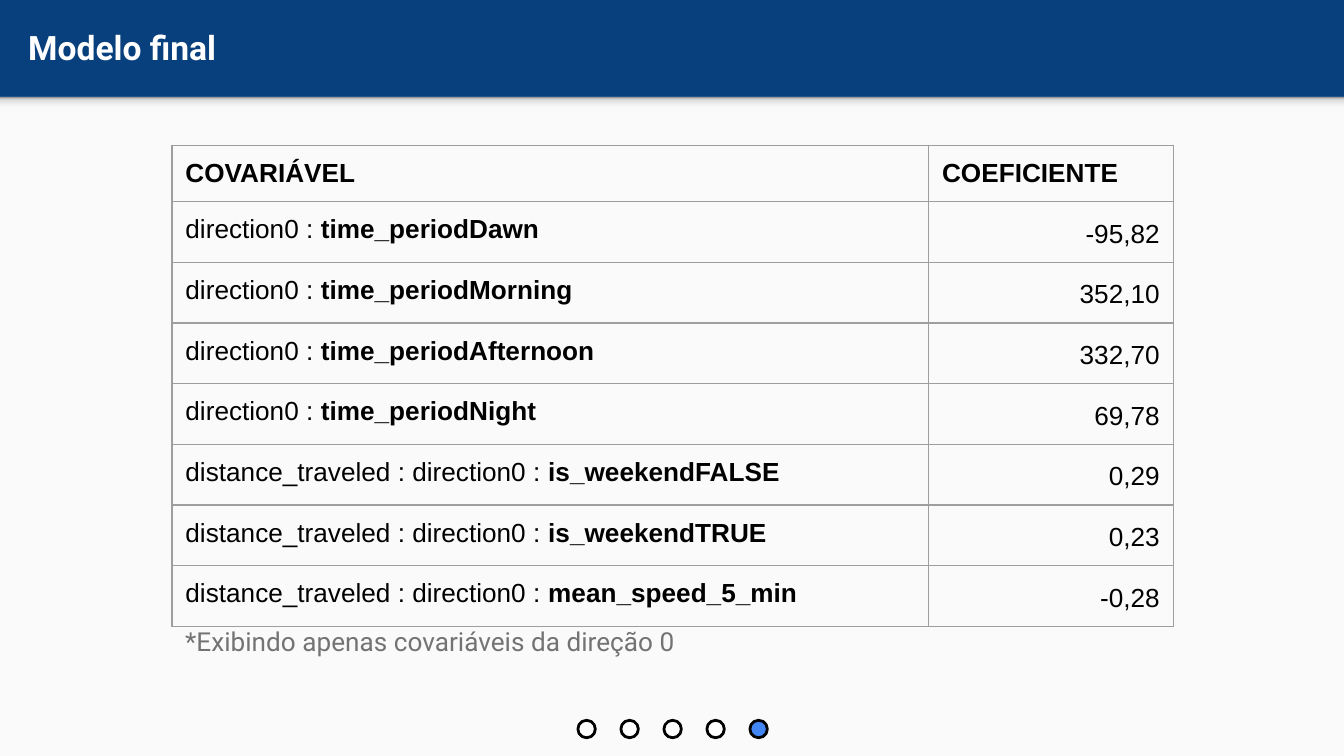
from copy import deepcopy

from lxml.etree import SubElement
from pptx import Presentation
from pptx.dml.color import RGBColor
from pptx.enum.shapes import MSO_SHAPE
from pptx.enum.text import MSO_ANCHOR, MSO_AUTO_SIZE, PP_ALIGN
from pptx.oxml.ns import qn
from pptx.util import Inches, Pt

NAVY = RGBColor(0x08, 0x40, 0x7D)
PAPER = RGBColor(0xFA, 0xFA, 0xFA)
WHITE = RGBColor(0xFF, 0xFF, 0xFF)
BLACK = RGBColor(0x00, 0x00, 0x00)
BLUE = RGBColor(0x42, 0x85, 0xF4)
GRAY = RGBColor(0x73, 0x73, 0x73)
BORDER = RGBColor(0x9E, 0x9E, 0x9E)
SHADOW_STOPS = [
    (0, RGBColor(0xF9, 0xF9, 0xF9)),
    (0.36, RGBColor(0xF9, 0xF9, 0xF9)),
    (0.8, RGBColor(0xDE, 0xDE, 0xDE)),
    (1, RGBColor(0x99, 0x99, 0x99)),
]

DIRECTION = "direction0 : "
DISTANCE = "distance_traveled : direction0 : "
COEFFICIENTS = [
    (DIRECTION, "time_periodDawn", "-95,82"),
    (DIRECTION, "time_periodMorning", "352,10"),
    (DIRECTION, "time_periodAfternoon", "332,70"),
    (DIRECTION, "time_periodNight", "69,78"),
    (DISTANCE, "is_weekendFALSE", "0,29"),
    (DISTANCE, "is_weekendTRUE", "0,23"),
    (DISTANCE, "mean_speed_5_min", "-0,28"),
]


def add_text(p, text, font="Arial", size=14, color=BLACK, bold=False):
    r = p.add_run()
    r.text = text
    r.font.name = font
    r.font.size = Pt(size)
    r.font.bold = bold
    r.font.color.rgb = color


class SlideBuilder:
    inset = Inches(0.1)
    heading_font = "Roboto"

    def __init__(self, slide):
        self.s = slide

    def background(self, color):
        fill = self.s.background.fill
        fill.solid()
        fill.fore_color.rgb = color

    def frame(self, sp, anchor):
        tf = sp.text_frame
        tf.word_wrap = True
        tf.auto_size = MSO_AUTO_SIZE.NONE
        tf.vertical_anchor = anchor
        tf.margin_left = tf.margin_right = self.inset
        tf.margin_top = tf.margin_bottom = self.inset
        return tf

    def title(self, text, x, y, w, h):
        sp = self.s.shapes.title
        sp.left, sp.top, sp.width, sp.height = map(Inches, (x, y, w, h))
        p = self.frame(sp, MSO_ANCHOR.MIDDLE).paragraphs[0]
        p.alignment = PP_ALIGN.LEFT
        add_text(p, text, font=self.heading_font, size=18, color=WHITE, bold=True)

    def note(self, text, x, y, w, h):
        sp = self.s.shapes.add_textbox(*map(Inches, (x, y, w, h)))
        p = self.frame(sp, MSO_ANCHOR.TOP).paragraphs[0]
        add_text(p, text, font=self.heading_font, color=GRAY)

    def shape(self, kind, x, y, w, h, color=None, parent=None):
        shapes = (parent or self.s).shapes
        sp = shapes.add_shape(kind, *map(Inches, (x, y, w, h)))
        sp.shadow.inherit = False
        sp.line.fill.background()
        if color is not None:
            sp.fill.solid()
            sp.fill.fore_color.rgb = color
        return sp

    def gradient(self, sp, stops):
        sp.fill.gradient()
        sp.fill.gradient_angle = 90
        stop_list = next(sp._element.spPr.iter(qn("a:gsLst")))
        while len(stop_list) < len(stops):
            stop_list.append(deepcopy(stop_list[0]))
        for stop, (position, color) in zip(sp.fill.gradient_stops, stops):
            stop.position = position
            stop.color.rgb = color

    def progress(self, count, current, x, y, size, step):
        group = self.s.shapes.add_group_shape()
        for i in range(count):
            color = BLUE if i == current else WHITE
            dot = self.shape(MSO_SHAPE.OVAL, x + i * step, y, size, size, color, group)
            dot.line.color.rgb = BLACK
            dot.line.width = Pt(1.5)

    def cell(self, cell):
        cell.margin_left = cell.margin_right = self.inset
        cell.margin_top = cell.margin_bottom = self.inset
        tc_pr = cell._tc.get_or_add_tcPr()
        for side in ("a:lnL", "a:lnR", "a:lnT", "a:lnB"):
            ln = SubElement(tc_pr, qn(side), w=str(Pt(0.75)))
            fill = SubElement(ln, qn("a:solidFill"))
            SubElement(fill, qn("a:srgbClr"), val=str(BORDER))
        cell.fill.background()
        return cell.text_frame.paragraphs[0]

    def table(self, header, rows, x, y, widths, header_height, row_height):
        height = header_height + len(rows) * row_height
        size = map(Inches, (x, y, sum(widths), height))
        table = self.s.shapes.add_table(len(rows) + 1, len(widths), *size).table
        table.first_row = table.horz_banding = False
        for column, width in zip(table.columns, widths):
            column.width = Inches(width)
        for i, row in enumerate(table.rows):
            row.height = Inches(row_height if i else header_height)
        for i, label in enumerate(header):
            add_text(self.cell(table.cell(0, i)), label, bold=True)
        for i, (prefix, name, value) in enumerate(rows, 1):
            p = self.cell(table.cell(i, 0))
            add_text(p, prefix)
            add_text(p, name, bold=True)
            p = self.cell(table.cell(i, 1))
            p.alignment = PP_ALIGN.RIGHT
            p.line_spacing = 1.15
            add_text(p, value)


def main():
    prs = Presentation()
    prs.slide_width = Inches(10)
    prs.slide_height = prs.slide_width * 9 // 16
    b = SlideBuilder(prs.slides.add_slide(prs.slide_layouts[5]))
    b.background(NAVY)
    b.shape(MSO_SHAPE.RECTANGLE, 0, 0.72, 10, 4.91, PAPER)
    shadow = b.shape(MSO_SHAPE.RECTANGLE, 0, 0.72, 10, 0.12)
    b.gradient(shadow, SHADOW_STOPS)
    b.title("Modelo final", 0.11, 0.02, 9.65, 0.66)
    b.progress(5, 4, 4.3, 5.36, 0.13, 0.32)
    b.table(("COVARIÁVEL", "COEFICIENTE"), COEFFICIENTS, 1.28, 1.08,
            (5.63, 1.82), 0.42, 0.45)
    b.note("*Exibindo apenas covariáveis da direção 0", 1.28, 4.55, 6.73, 0.44)
    prs.save("out.pptx")


if __name__ == "__main__":
    main()
